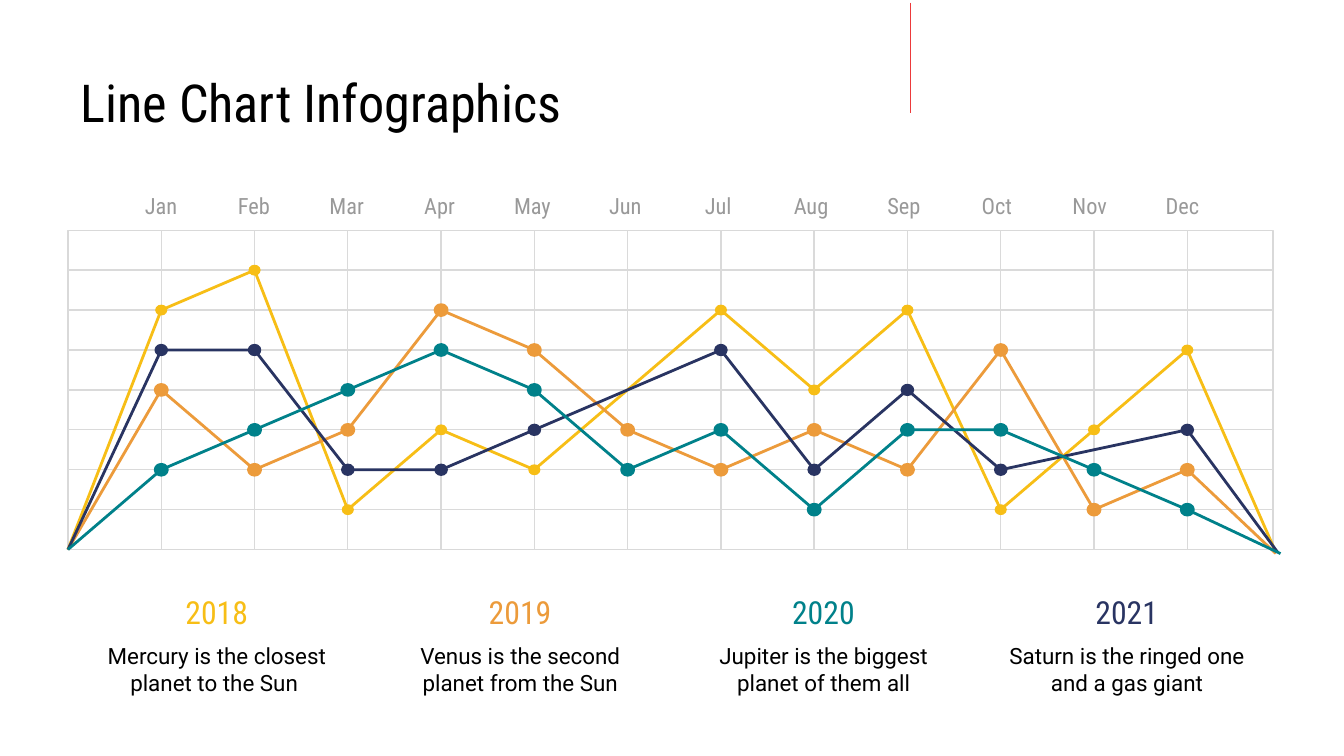
from dataclasses import dataclass
from typing import NamedTuple

from lxml import etree
from pptx import Presentation
from pptx.dml.color import RGBColor
from pptx.enum.shapes import MSO_CONNECTOR, MSO_SHAPE
from pptx.enum.text import MSO_ANCHOR, PP_ALIGN
from pptx.oxml.ns import qn
from pptx.util import Inches, Pt

SLIDE_WIDTH = Inches(10)
SLIDE_HEIGHT = SLIDE_WIDTH * 9 // 16


@dataclass(frozen=True)
class Theme:
    black: str = "000000"
    month: str = "999999"
    grid: str = "DADADA"
    frame: str = "D9D9D9"
    accent: str = "EC3A3B"
    yellow: str = "F7BE16"
    orange: str = "EC9B3B"
    teal: str = "00818A"
    navy: str = "293462"
    heading_font: str = "Roboto Condensed"
    body_font: str = "Roboto"
    title_size: float = 28
    year_size: float = 17
    body_size: float = 12
    thin: float = 0.75
    thick: float = 1.5


class Area(NamedTuple):
    """Left, top, width and height in percent of the slide."""
    left: float
    top: float
    width: float
    height: float


class TextStyle(NamedTuple):
    font: str
    size: float
    color: str


@dataclass(frozen=True)
class PlotGrid:
    """Grid counted in month columns from the left and levels from the bottom."""
    left: float = 5.06
    bottom: float = 72.7
    column: float = 6.94
    level: float = 5.28
    columns: float = 12.92
    levels: int = 8

    def point(self, column: float, level: float) -> tuple[int, int]:
        return (across(self.left + column * self.column),
                down(self.bottom - level * self.level))


class Series(NamedTuple):
    year: str
    caption: str
    color: str
    marker_outline: float
    levels: tuple
    end: tuple[float, float]


THEME = Theme()
GRID = PlotGrid()
MARKER = Area(0, 0, 0.8, 1.25)
MONTHS = "Jan Feb Mar Apr May Jun Jul Aug Sep Oct Nov Dec".split()
SERIES = [
    Series("2018", "Mercury is the closest planet to the Sun ", THEME.yellow, 0.75,
           (6, 7, 1, 3, 2, None, 6, 4, 6, 1, 3, 5), (12.95, -0.07)),
    Series("2019", "Venus is the second planet from the Sun", THEME.orange, 2.25,
           (4, 2, 3, 6, 5, 3, 2, 3, 2, 5, 1, 2), (12.95, -0.1)),
    Series("2020", "Jupiter is the biggest planet of them all", THEME.teal, 2.25,
           (2, 3, 4, 5, 4, 2, 3, 1, 3, 3, 2, 1), (13, -0.1)),
    Series("2021", "Saturn is the ringed one and a gas giant", THEME.navy, 1.5,
           (5, 5, 2, 2, 3, None, 5, 2, 4, 2, None, 3), (12.97, -0.07)),
]
DRAW_ORDER = ("2018", "2019", "2021", "2020")


def across(percent: float) -> int:
    return round(SLIDE_WIDTH * percent / 100)


def down(percent: float) -> int:
    return round(SLIDE_HEIGHT * percent / 100)


def extent(area: Area) -> tuple[int, int, int, int]:
    return across(area.left), down(area.top), across(area.width), down(area.height)


def set_all(target, values: dict) -> None:
    for name, value in values.items():
        setattr(target, name, value)


def set_line(shape, color: str, width: float) -> None:
    shape.line.color.rgb = RGBColor.from_string(color)
    shape.line.width = Pt(width)


def write(shape, text: str, style: TextStyle, align, anchor) -> None:
    frame = shape.text_frame
    inset = Inches(0.1)
    set_all(frame, {"word_wrap": True, "vertical_anchor": anchor,
                    "margin_left": inset, "margin_right": inset,
                    "margin_top": inset, "margin_bottom": inset})
    frame.text = text
    paragraph = frame.paragraphs[0]
    paragraph.alignment = align
    font = paragraph.runs[0].font
    set_all(font, {"name": style.font, "size": Pt(style.size)})
    font.color.rgb = RGBColor.from_string(style.color)


def add_label(shapes, area: Area, text: str, style: TextStyle) -> None:
    write(shapes.add_textbox(*extent(area)), text, style,
          PP_ALIGN.CENTER, MSO_ANCHOR.MIDDLE)


def add_rule(shapes, start: tuple[int, int], end: tuple[int, int], color: str):
    rule = shapes.add_connector(MSO_CONNECTOR.STRAIGHT, *start, *end)
    set_line(rule, color, THEME.thin)
    etree.SubElement(rule._element.spPr, qn("a:effectLst"))
    return rule


def add_grid(shapes) -> None:
    left, top = GRID.point(0, GRID.levels)
    right, bottom = GRID.point(GRID.columns, 0)
    frame = shapes.add_shape(MSO_SHAPE.RECTANGLE, left, top, right - left, bottom - top)
    frame.shadow.inherit = False
    frame.fill.background()
    set_line(frame, THEME.frame, THEME.thin)
    for column in range(1, len(MONTHS) + 1):
        add_rule(shapes, GRID.point(column, GRID.levels), GRID.point(column, 0), THEME.grid)
    for level in range(1, GRID.levels):
        rule = add_rule(shapes, GRID.point(0, level),
                        GRID.point(GRID.columns, level), THEME.grid)
        if level * 2 == GRID.levels:
            rule.begin_connect(frame, 1)
            rule.end_connect(frame, 3)


def add_series(shapes, series: Series) -> None:
    points = [GRID.point(column, level)
              for column, level in enumerate(series.levels, 1) if level is not None]
    builder = shapes.build_freeform(*GRID.point(0, 0))
    builder.add_line_segments([*points, GRID.point(*series.end)], close=False)
    curve = builder.convert_to_shape()
    curve.shadow.inherit = False
    curve.fill.background()
    set_line(curve, series.color, THEME.thick)
    _, _, width, height = extent(MARKER)
    for x, y in points:
        marker = shapes.add_shape(MSO_SHAPE.OVAL, x - width // 2, y - height // 2,
                                  width, height)
        marker.shadow.inherit = False
        marker.fill.solid()
        marker.fill.fore_color.rgb = RGBColor.from_string(series.color)
        set_line(marker, series.color, series.marker_outline)


def main() -> None:
    deck = Presentation()
    set_all(deck, {"slide_width": SLIDE_WIDTH, "slide_height": SLIDE_HEIGHT})
    slide = deck.slides.add_slide(deck.slide_layouts[5])
    shapes = slide.shapes

    title = shapes.title
    set_all(title, dict(zip(("left", "top", "width", "height"),
                            extent(Area(5, 7.47, 90, 11.2)))))
    write(title, "Line Chart Infographics",
          TextStyle(THEME.heading_font, THEME.title_size, THEME.black),
          PP_ALIGN.LEFT, MSO_ANCHOR.TOP)
    add_rule(shapes, (across(67.73), down(0.36)), (across(67.73), down(14.93)), THEME.accent)

    add_grid(shapes.add_group_shape().shapes)
    month_style = TextStyle(THEME.heading_font, THEME.body_size, THEME.month)
    for index, month in enumerate(MONTHS):
        add_label(shapes, Area(9.13 + 6.91 * index, 25.35, 5.7, 3.73), month, month_style)

    caption_style = TextStyle(THEME.body_font, THEME.body_size, THEME.black)
    for index, series in enumerate(SERIES):
        shift = 22.57 * index
        add_label(shapes, Area(5.3 + shift, 84.88, 21.7, 7.3), series.caption, caption_style)
        add_label(shapes, Area(9.13 + shift, 78.25, 14, 5.5), series.year,
                  TextStyle(THEME.heading_font, THEME.year_size, series.color))

    for series in sorted(SERIES, key=lambda item: DRAW_ORDER.index(item.year)):
        add_series(shapes.add_group_shape().shapes, series)
    deck.save("out.pptx")


if __name__ == "__main__":
    main()
